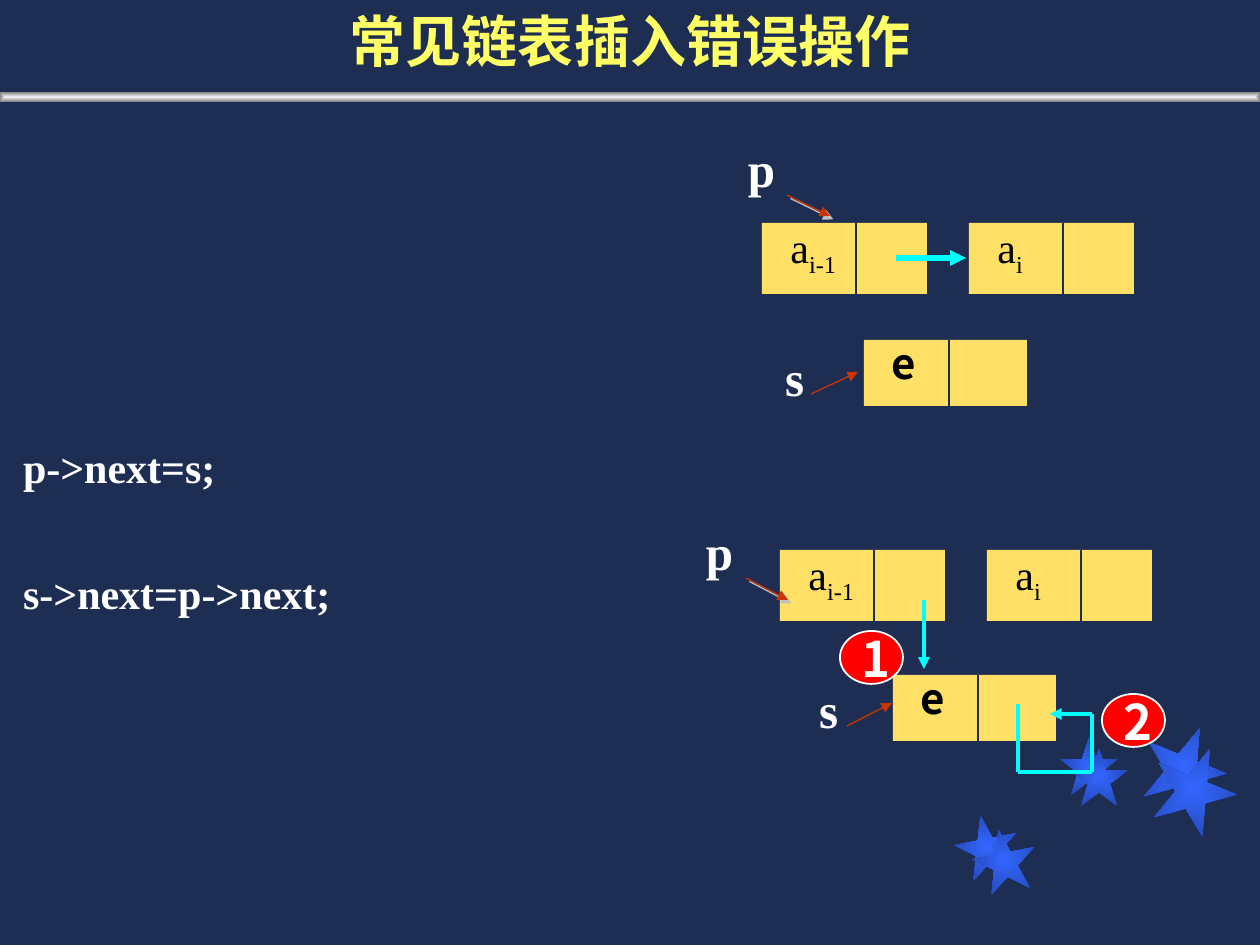
from typing import NamedTuple

from lxml import etree
from pptx import Presentation
from pptx import util as u
from pptx.dml.color import RGBColor
from pptx.enum import shapes, text
from pptx.oxml import parse_xml
from pptx.oxml.ns import nsdecls, qn

PX = 914400 / 126
SERIF, SANS = "Times New Roman", "Noto Sans CJK SC"
NAVY, WHITE, BLACK = "1E2E53", "FFFFFF", "000000"
YELLOW, NODE_FILL, RED, POINTER, LINK = "FFFF66", "FFE066", "FF0000", "CC3300", "00FFFF"


class Box(NamedTuple):
    left: int
    top: int
    width: int
    height: int


class Style(NamedTuple):
    size: int
    font: str
    color: str
    bold: bool = True
    align: text.PP_ALIGN = text.PP_ALIGN.CENTER


class Star(NamedTuple):
    box: Box
    rotation: int = 0


class NodeKind(NamedTuple):
    """Size of a list node, and where its divider and label sit inside it."""
    width: int
    height: int
    divider: int
    label: Box
    style: Style


class Node(NamedTuple):
    kind: NodeKind
    left: int
    top: int
    label: str
    subscript: str = ""


class Arrow(NamedTuple):
    start: tuple[int, int]
    end: tuple[int, int]
    color: str = LINK
    width: float = 2.25
    head: bool = True
    shadow: bool = False


class Label(NamedTuple):
    box: Box
    wording: str
    style: Style
    margin_left: int = 13


LEFT = text.PP_ALIGN.LEFT
TITLE = Style(32, SANS, YELLOW)
CODE = Style(24, SERIF, WHITE, align=LEFT)
POINTER_NAME = Style(28, SERIF, WHITE)
STEP_NUMBER = Style(28, SANS, WHITE)
LISTED = NodeKind(165, 71, 94, Box(16, -8, 117, 64), Style(24, SERIF, BLACK, False, LEFT))
INSERTED = NodeKind(163, 66, 85, Box(15, -9, 93, 64), Style(24, SANS, BLACK, align=LEFT))

STARS = [
    Star(Box(955, 815, 63, 63), 349), Star(Box(1060, 737, 58, 58)),
    Star(Box(1142, 725, 84, 84), 22), Star(Box(973, 829, 63, 63), 349),
    Star(Box(1070, 748, 58, 58)), Star(Box(1152, 746, 84, 84), 22),
]
NODES = [
    Node(LISTED, 762, 223, "a", "i-1"), Node(LISTED, 969, 223, "a", "i"),
    Node(INSERTED, 864, 340, "e"),
    Node(LISTED, 780, 550, "a", "i-1"), Node(LISTED, 987, 550, "a", "i"),
    Node(INSERTED, 893, 675, "e"),
]
LABELS = [
    Label(Box(0, 0, 1260, 94), "常见链表插入错误操作", TITLE),
    Label(Box(0, 435, 873, 79), "p->next=s;", CODE, 23),
    Label(Box(0, 561, 873, 79), "s->next=p->next;", CODE, 23),
    Label(Box(735, 132, 49, 72), "p", POINTER_NAME),
    Label(Box(770, 341, 49, 72), "s", POINTER_NAME),
    Label(Box(693, 515, 49, 72), "p", POINTER_NAME),
    Label(Box(804, 673, 49, 72), "s", POINTER_NAME),
]
ARROWS = [
    Arrow((787, 195), (830, 216), POINTER, 0.75, shadow=True),
    Arrow((811, 394), (858, 372), POINTER, 0.75),
    Arrow((746, 578), (788, 600), POINTER, 0.75, shadow=True),
    Arrow((847, 726), (892, 703), POINTER, 0.75),
    Arrow((896, 258), (966, 258), width=3),
    Arrow((924, 600), (924, 669)),
    Arrow((1018, 704), (1018, 772), head=False),
    Arrow((1018, 772), (1092, 772), head=False),
    Arrow((1092, 772), (1092, 714), head=False),
    Arrow((1092, 714), (1050, 714)),
]
STEPS = {"1": Box(840, 631, 63, 53), "2": Box(1102, 694, 63, 53)}


def emu(*lengths: int) -> list[int]:
    return [round(length * PX) for length in lengths]


def rgb(color: str) -> RGBColor:
    return RGBColor.from_string(color)


def add_filled(slide, kind: shapes.MSO_SHAPE, box: Box, color: str):
    shape = slide.shapes.add_shape(kind, *emu(*box))
    shape.shadow.inherit = False
    shape.fill.solid()
    shape.fill.fore_color.rgb = rgb(color)
    shape.line.fill.background()
    return shape


def add_glow(slide, kind: shapes.MSO_SHAPE, box: Box, inner: str, outer: str):
    """Add a shape whose gradient runs from its centre to its outline."""
    shape = add_filled(slide, kind, box, inner)
    solid = shape._element.spPr.find(qn("a:solidFill"))
    solid.getparent().replace(solid, parse_xml(
        f'<a:gradFill {nsdecls("a")} rotWithShape="1"><a:gsLst>'
        f'<a:gs pos="0"><a:srgbClr val="{inner}"/></a:gs>'
        f'<a:gs pos="100000"><a:srgbClr val="{outer}"/></a:gs></a:gsLst>'
        '<a:path path="shape"><a:fillToRect l="50000" t="50000" r="50000" b="50000"/></a:path>'
        '</a:gradFill>'))
    return shape


def write(shape, style: Style, wording: str, subscript: str = "") -> None:
    shape.text_frame.word_wrap = True
    paragraph = shape.text_frame.paragraphs[0]
    paragraph.alignment = style.align
    for part, baseline in ((wording, 0), (subscript, -25000)):
        if not part:
            continue
        run = paragraph.add_run()
        run.text = part
        run.font.color.rgb = rgb(style.color)
        for name, value in {"size": u.Pt(style.size), "bold": style.bold, "name": style.font}.items():
            setattr(run.font, name, value)
        properties = run._r.get_or_add_rPr()
        etree.SubElement(properties, qn("a:ea"), typeface=style.font)
        if baseline:
            properties.set("baseline", str(baseline))


def add_label(slide, label: Label) -> None:
    shape = slide.shapes.add_textbox(*emu(*label.box))
    shape.text_frame.margin_left = emu(label.margin_left)[0]
    write(shape, label.style, label.wording)


def add_arrow(slide, arrow: Arrow) -> None:
    connector = slide.shapes.add_connector(
        shapes.MSO_CONNECTOR.STRAIGHT, *emu(*arrow.start, *arrow.end))
    connector.line.color.rgb = rgb(arrow.color)
    connector.line.width = u.Pt(arrow.width)
    if arrow.head:
        etree.SubElement(connector.line._get_or_add_ln(), qn("a:tailEnd"), type="triangle")
    effects = etree.SubElement(connector._element.spPr, qn("a:effectLst"))
    if arrow.shadow:
        shadow = etree.SubElement(effects, qn("a:outerShdw"), dist=str(u.Pt(2.8)), dir="2700000")
        etree.SubElement(shadow, qn("a:srgbClr"), val="C0C0C0")


def add_node(slide, node: Node) -> None:
    kind, left, top = node.kind, node.left, node.top
    add_filled(slide, shapes.MSO_SHAPE.RECTANGLE, Box(left, top, kind.width, kind.height), NODE_FILL)
    divider = left + kind.divider
    add_arrow(slide, Arrow((divider, top), (divider, top + kind.height), NAVY, 0.75, head=False))
    box = kind.label._replace(left=left + kind.label.left, top=top + kind.label.top)
    write(slide.shapes.add_textbox(*emu(*box)), kind.style, node.label, node.subscript)


def add_step(slide, number: str, box: Box) -> None:
    shape = add_filled(slide, shapes.MSO_SHAPE.OVAL, box, RED)
    shape.line.color.rgb = rgb(WHITE)
    shape.line.width = u.Pt(1)
    shape.text_frame.vertical_anchor = text.MSO_ANCHOR.MIDDLE
    write(shape, STEP_NUMBER, number)


def main() -> None:
    presentation = Presentation()
    presentation.slide_width, presentation.slide_height = emu(1260, 945)
    slide = presentation.slides.add_slide(presentation.slide_layouts[6])
    slide.background.fill.solid()
    slide.background.fill.fore_color.rgb = rgb(NAVY)
    for star in STARS:
        add_glow(slide, shapes.MSO_SHAPE.STAR_5_POINT, star.box, "3366FF", "2449B6").rotation = star.rotation
    add_glow(slide, shapes.MSO_SHAPE.RECTANGLE, Box(0, 92, 1260, 10), "F2F2F2", "808080")
    for items, draw in ((LABELS, add_label), (NODES, add_node), (ARROWS, add_arrow)):
        for item in items:
            draw(slide, item)
    for number, box in STEPS.items():
        add_step(slide, number, box)
    presentation.save("out.pptx")


if __name__ == "__main__":
    main()
